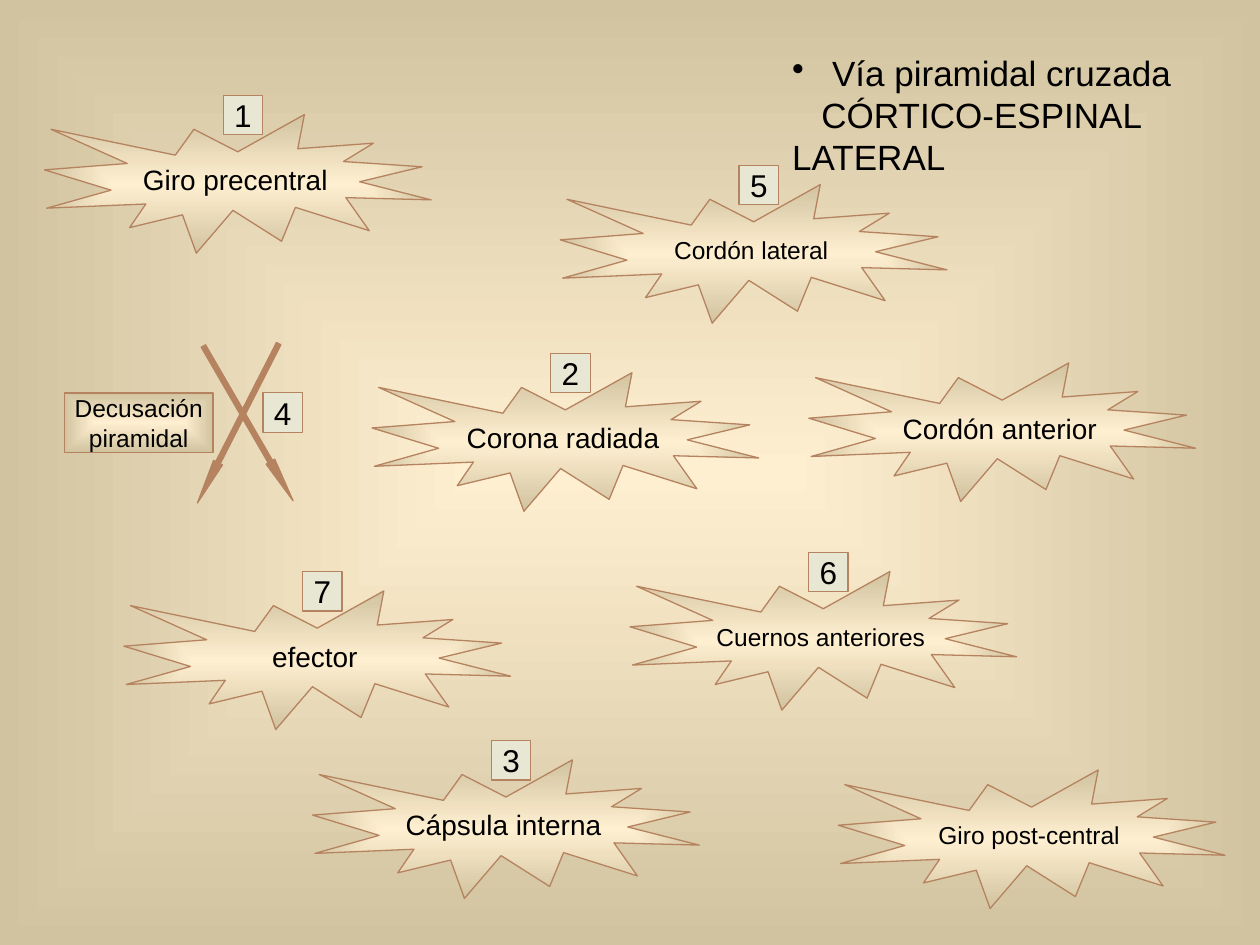
"""Build the slide on the crossed pyramidal (lateral corticospinal) tract."""
import pptx
import pptx.util
import pptx.dml.color
import pptx.enum.shapes
import pptx.enum.text
import pptx.oxml
import pptx.oxml.ns

Pt = pptx.util.Pt
RGB = pptx.dml.color.RGBColor
Shape = pptx.enum.shapes.MSO_SHAPE
Text = pptx.enum.text
qn = pptx.oxml.ns.qn

CREAM = RGB(0xFF, 0xEF, 0xD1)
SAND = RGB(0xD1, 0xC3, 0x9F)
BROWN = RGB(0xB6, 0x83, 0x60)
PALE = RGB(0xE8, 0xE7, 0xD4)
BLACK = RGB(0, 0, 0)
GLOW = (
    f'<a:path {pptx.oxml.ns.nsdecls("a")} path="rect">'
    '<a:fillToRect l="50000" t="50000" r="50000" b="50000"/></a:path>'
)


class Sheet:
    """Hold the style and the slide, and draw each kind of element."""

    font = "Arial"
    burst_size = (221, 79.2)
    badge_size = 22.5
    badge_shift = (102.2, -11)

    def __init__(self, slide):
        self.slide = slide
        self.glow(slide.background.fill)

    def glow(self, fill):
        """Fill with a gradient that runs from the centre to the edges."""
        fill.gradient()
        for stop, color in zip(fill.gradient_stops, (CREAM, SAND)):
            stop.color.rgb = color
        for line in list(self.slide.element.iter(qn("a:lin"))):
            line.getparent().replace(line, pptx.oxml.parse_xml(GLOW))

    def style(self, frame, size, align):
        """Format every paragraph and run of a text frame."""
        for para in frame.paragraphs:
            para.alignment = align
            for run in para.runs:
                run.font.name = self.font
                run.font.size = Pt(size)
                run.font.color.rgb = BLACK

    def shape(self, kind, left, top, width, height, fill=None, shapes=None):
        """Add an outlined shape with a plain fill or the gradient."""
        shapes = shapes or self.slide.shapes
        item = shapes.add_shape(kind, Pt(left), Pt(top), Pt(width), Pt(height))
        item.shadow.inherit = False
        item.line.color.rgb = BROWN
        item.line.width = Pt(0.75)
        if fill is None:
            self.glow(item.fill)
        else:
            item.fill.solid()
            item.fill.fore_color.rgb = fill
        return item

    def label(self, item, text, size):
        """Write centred text in a shape."""
        frame = item.text_frame
        frame.text = text
        frame.word_wrap = False
        frame.vertical_anchor = Text.MSO_ANCHOR.MIDDLE
        self.style(frame, size, Text.PP_ALIGN.CENTER)

    def burst(self, left, top, text, size):
        """Add a labelled star."""
        item = self.shape(Shape.EXPLOSION1, left, top, *self.burst_size)
        self.label(item, text, size)

    def badge(self, left, top, text):
        """Add a small numbered square."""
        side = self.badge_size
        self.label(self.shape(Shape.RECTANGLE, left, top, side, side, PALE), text, 18)

    def box(self, left, top, width, height, text):
        """Add a labelled rectangle."""
        self.label(self.shape(Shape.RECTANGLE, left, top, width, height), text, 14)

    def cross(self, top, width, height, arrows):
        """Add a group of crossing arrows."""
        group = self.slide.shapes.add_group_shape()
        for left, angle in arrows:
            item = self.shape(
                Shape.DOWN_ARROW, left, top, width, height, BROWN, group.shapes
            )
            item.adjustments[0] = 0.5
            item.adjustments[1] = 4.53
            item.rotation = angle

    def title(self, left, top, width, height, head, tail):
        """Add the heading: a bullet line and an indented line."""
        item = self.slide.shapes.add_textbox(Pt(left), Pt(top), Pt(width), Pt(height))
        frame = item.text_frame
        frame.word_wrap = True
        frame.text = f"{head}\n{tail}"
        for para, margin, indent in zip(frame.paragraphs, (22.8, 0), (-22.8, 16.7)):
            props = para._p.get_or_add_pPr()
            props.set("marL", str(Pt(margin)))
            props.set("indent", str(Pt(indent)))
        bullet = frame.paragraphs[0]._p.get_or_add_pPr()
        bullet.append(pptx.oxml.parse_xml(
            f'<a:buChar {pptx.oxml.ns.nsdecls("a")} char="•"/>'
        ))
        self.style(frame, 20, Text.PP_ALIGN.LEFT)


BURSTS = (
    (462.2, 207.4, "Cordón anterior", 16, None),
    (212.6, 213, "Corona radiada", 16, "2"),
    (178.6, 434.2, "Cápsula interna", 16, "3"),
    (70.8, 337.7, "efector", 16, "7"),
    (360, 326.6, "Cuernos anteriores", 14, "6"),
    (479, 440, "Giro post-central", 14, None),
    (25.4, 65.5, "Giro precentral", 16, "1"),
    (320.2, 105.5, "Cordón lateral", 14, "5"),
)


def main():
    deck = pptx.Presentation()
    deck.slide_width, deck.slide_height = Pt(720), Pt(540)
    sheet = Sheet(deck.slides.add_slide(deck.slide_layouts[6]))
    sheet.title(445.6, 26, 289.5, 55.5,
                "Vía piramidal cruzada", "CÓRTICO-ESPINAL LATERAL")
    for left, top, text, size, _ in BURSTS:
        sheet.burst(left, top, text, size)
    sheet.cross(190.8, 5.7, 102.2, ((133.2, 27), (139, 329.9)))
    sheet.box(36.8, 224.5, 85, 34, "Decusación\npiramidal")
    sheet.badge(150.3, 224.5, "4")
    across, down = sheet.badge_shift
    for left, top, _, _, number in BURSTS:
        if number:
            sheet.badge(left + across, top + down, number)
    deck.save("out.pptx")


if __name__ == "__main__":
    main()
